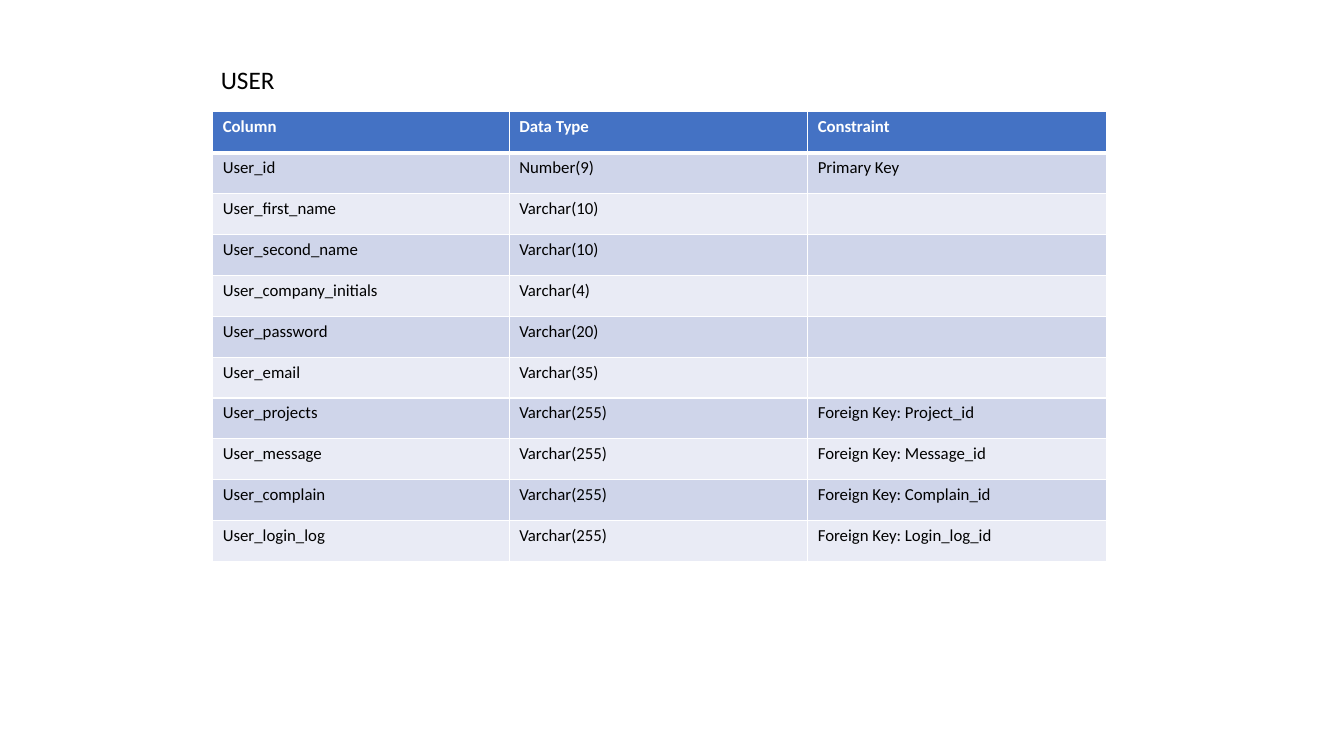
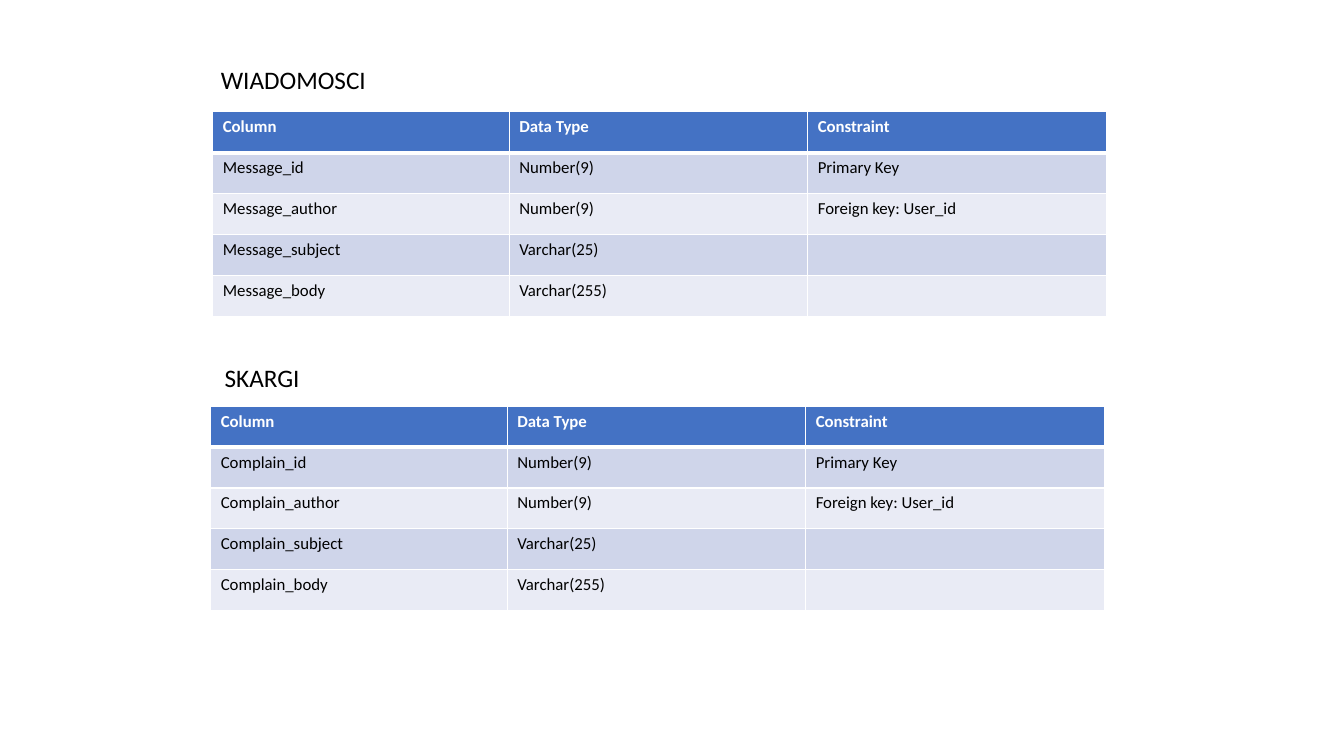
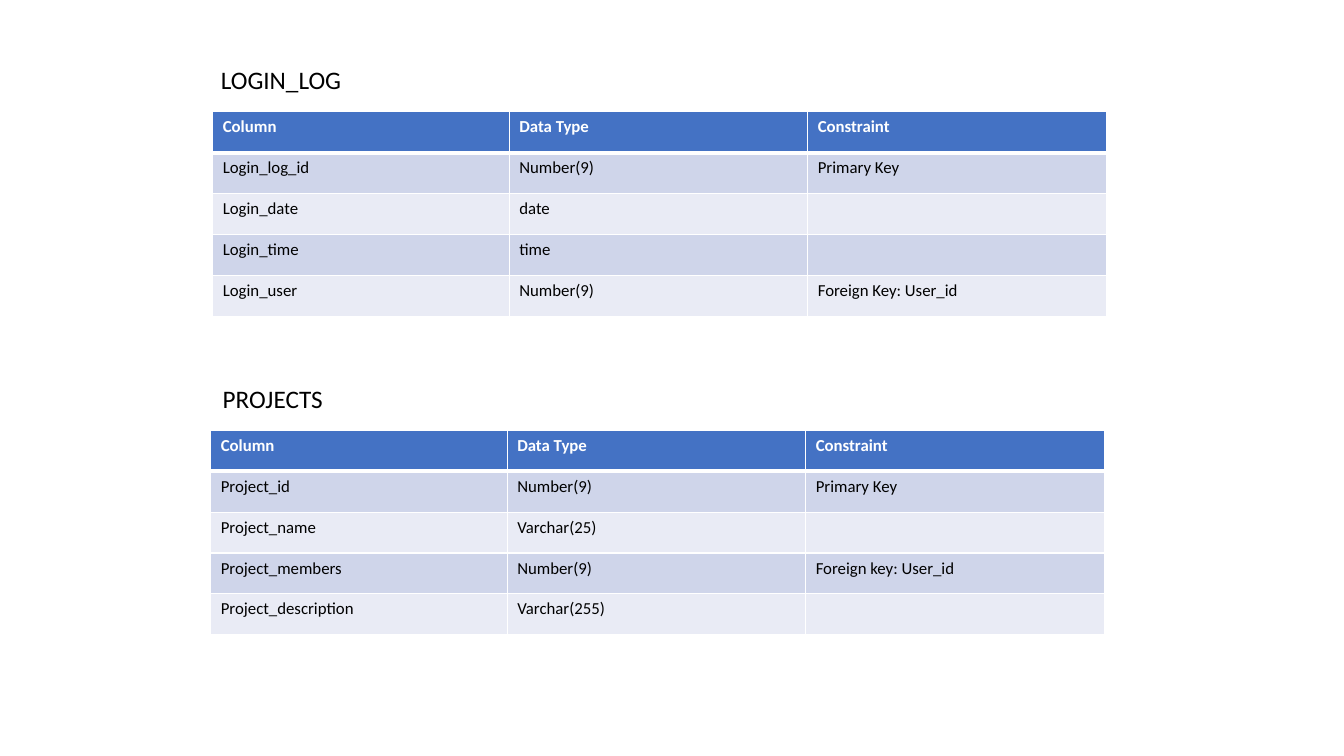
import pptx
import pptx.dml.color
import pptx.enum.text
import pptx.oxml.ns
import pptx.util
import lxml.etree

BLACK, WHITE, BLUE = "000000", "FFFFFF", "4472C4"
BANDS = ("CFD5EA", "E9EBF5")
FONT = "Calibri"
HEADER = ("Column", "Data Type", "Constraint")

# Shares of the slide, in percent
LEFT, TOP = 15.83, 14.8
COLUMNS = (22.06, 22.21, 22.21)
ROW = 5.41
HEADING_LEFT, HEADING_TOP, HEADING_HEIGHT = 15.68, 7.87, 5.33


def color(value):
    return pptx.dml.color.RGBColor.from_string(value)


class Deck:
    def __init__(self):
        self.prs = pptx.Presentation()
        self.prs.slide_width = pptx.util.Inches(13.33)
        self.prs.slide_height = pptx.util.Inches(7.5)
        self.slide = None

    def x(self, share):
        return round(self.prs.slide_width * share / 100)

    def y(self, share):
        return round(self.prs.slide_height * share / 100)

    def style(self, p, size, fill, bold=False):
        p.alignment = pptx.enum.text.PP_ALIGN.LEFT
        for r in p.runs:
            r.font.name = FONT
            r.font.size = pptx.util.Pt(size)
            r.font.bold = bold
            r.font.color.rgb = color(fill)

    def heading(self, sp, text, left, top, width):
        sp.left, sp.top = self.x(left), self.y(top)
        sp.width, sp.height = self.x(width), self.y(HEADING_HEIGHT)
        tf = sp.text_frame
        tf.text = text
        tf.word_wrap = False
        tf.auto_size = pptx.enum.text.MSO_AUTO_SIZE.SHAPE_TO_FIT_TEXT
        tf.vertical_anchor = pptx.enum.text.MSO_ANCHOR.TOP
        self.style(tf.paragraphs[0], 18, BLACK)

    def add_slide(self, title, width):
        self.slide = self.prs.slides.add_slide(self.prs.slide_layouts.get_by_name("Title Only"))
        self.heading(self.slide.shapes.title, title, HEADING_LEFT, HEADING_TOP, width)

    def subheading(self, text, left, top, width):
        sp = self.slide.shapes.add_textbox(0, 0, 0, 0)
        self.heading(sp, text, left, top, width)

    def borders(self, cell, top, bottom):
        tc_pr = cell._tc.get_or_add_tcPr()
        qn = pptx.oxml.ns.qn
        for side, points in (("L", 1), ("R", 1), ("T", top), ("B", bottom)):
            ln = lxml.etree.SubElement(tc_pr, qn(f"a:ln{side}"), w=str(pptx.util.Pt(points)))
            solid = lxml.etree.SubElement(ln, qn("a:solidFill"))
            lxml.etree.SubElement(solid, qn("a:srgbClr"), val=WHITE)

    def table(self, body, left=LEFT, top=TOP):
        rows = [HEADER, *body]
        table = self.slide.shapes.add_table(
            len(rows), len(HEADER), self.x(left), self.y(top),
            self.x(sum(COLUMNS)), self.y(ROW * len(rows))).table
        for column, share in zip(table.columns, COLUMNS):
            column.width = self.x(share)
        for i, values in enumerate(rows):
            table.rows[i].height = self.y(ROW)
            header = i == 0
            for j, value in enumerate(values):
                cell = table.cell(i, j)
                self.borders(cell, 3 if i == 1 else 1, 3 if header else 1)
                cell.fill.solid()
                cell.fill.fore_color.rgb = color(BLUE if header else BANDS[(i - 1) % 2])
                if value:
                    cell.text_frame.text = value
                    self.style(cell.text_frame.paragraphs[0], 12,
                               WHITE if header else BLACK, header)


deck = Deck()

# User
deck.add_slide("USER", 5.55)
deck.table([
    ("User_id", "Number(9)", "Primary Key"),
    ("User_first_name", "Varchar(10)", ""),
    ("User_second_name", "Varchar(10)", ""),
    ("User_company_initials", "Varchar(4)", ""),
    ("User_password", "Varchar(20)", ""),
    ("User_email", "Varchar(35)", ""),
    ("User_projects", "Varchar(255)", "Foreign Key: Project_id"),
    ("User_message", "Varchar(255)", "Foreign Key: Message_id"),
    ("User_complain", "Varchar(255)", "Foreign Key: Complain_id"),
    ("User_login_log", "Varchar(255)", "Foreign Key: Login_log_id"),
])


# Messages and complaints share one structure
def post_fields(prefix):
    return [
        (f"{prefix}_id", "Number(9)", "Primary Key"),
        (f"{prefix}_author", "Number(9)", "Foreign key: User_id"),
        (f"{prefix}_subject", "Varchar(25)", ""),
        (f"{prefix}_body", "Varchar(255)", ""),
    ]


deck.add_slide("WIADOMOSCI", 12.38)
deck.table(post_fields("Message"))
deck.subheading("SKARGI", 15.98, 47.33, 7.13)
deck.table(post_fields("Complain"), HEADING_LEFT, 53.73)

# Login log and projects
deck.add_slide("LOGIN_LOG", 10.58)
deck.table([
    ("Login_log_id", "Number(9)", "Primary Key"),
    ("Login_date", "date", ""),
    ("Login_time", "time", ""),
    ("Login_user", "Number(9)", "Foreign Key: User_id"),
])
deck.subheading("PROJECTS", LEFT, 50, 9)
deck.table([
    ("Project_id", "Number(9)", "Primary Key"),
    ("Project_name", "Varchar(25)", ""),
    ("Project_members", "Number(9)", "Foreign key: User_id"),
    ("Project_description", "Varchar(255)", ""),
], HEADING_LEFT, 56.93)

deck.prs.save("out.pptx")
